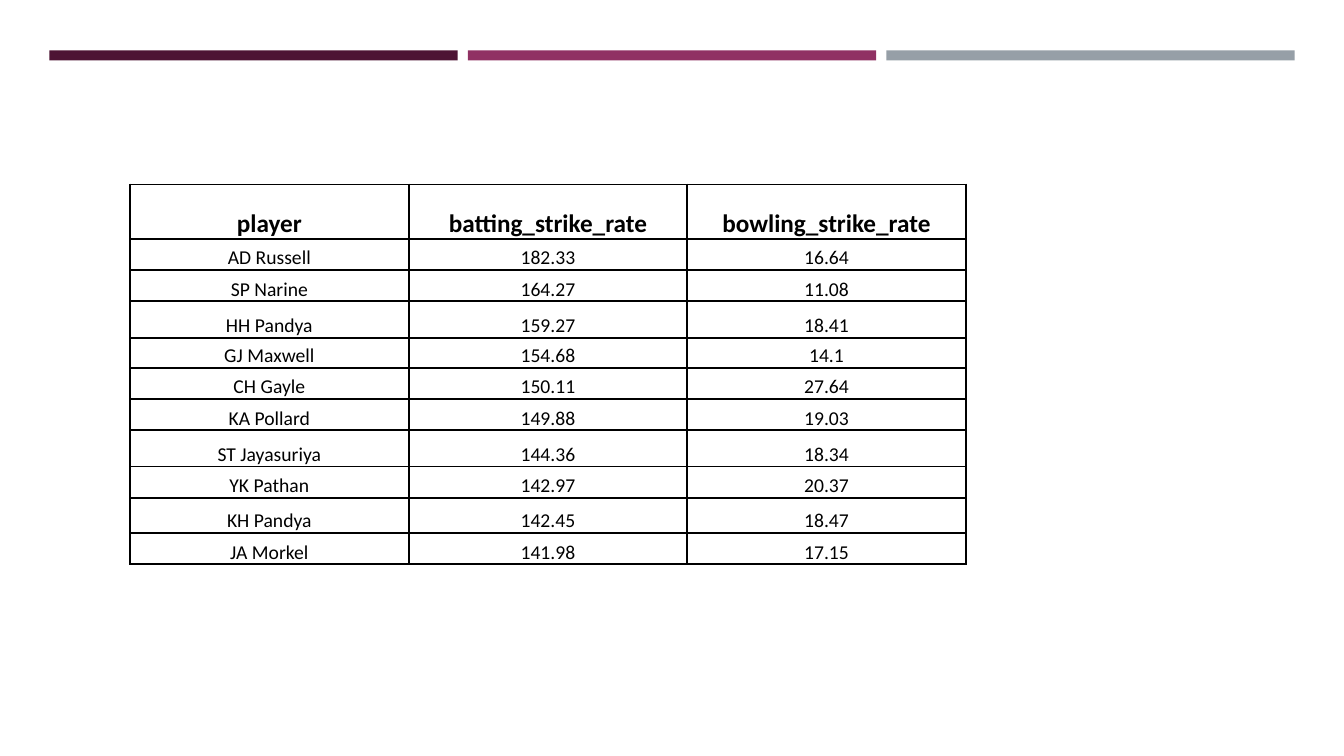
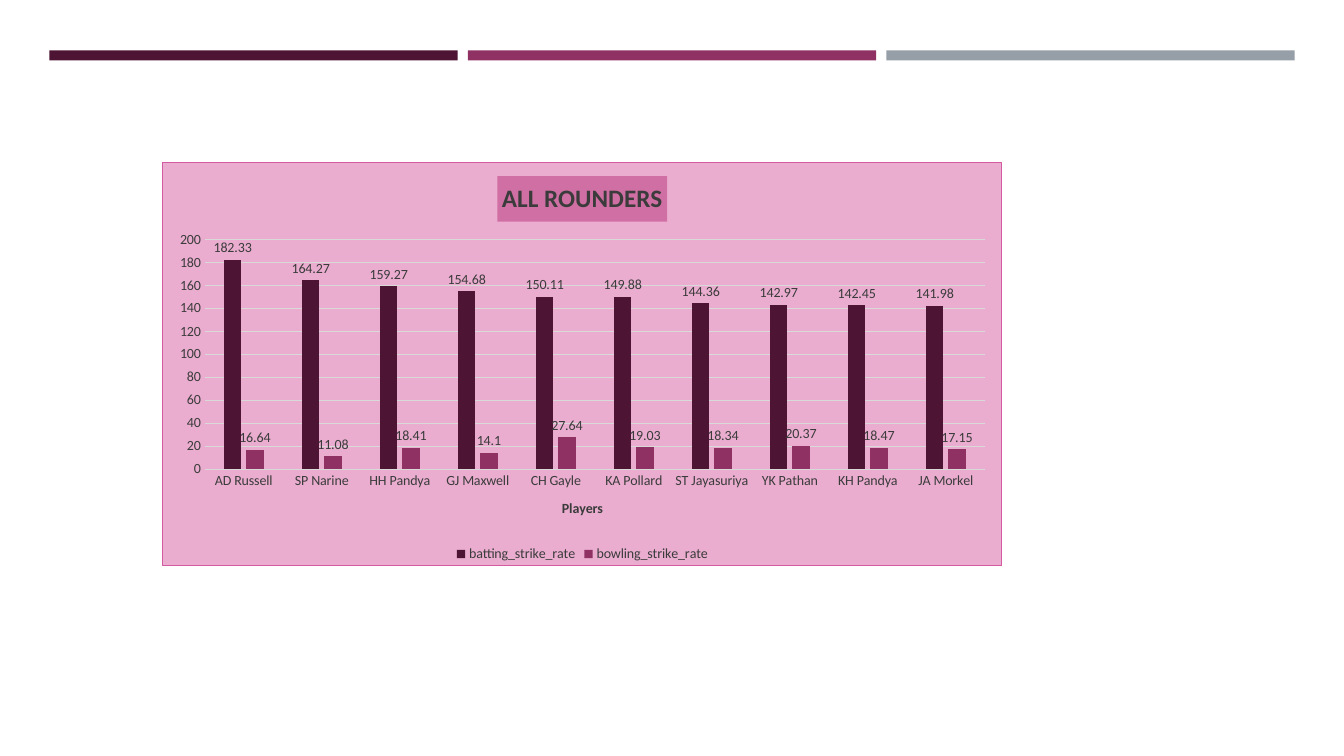
from lxml.etree import SubElement
from pptx import Presentation
from pptx.chart.data import CategoryChartData
from pptx.dml.color import RGBColor
from pptx.enum.chart import XL_CHART_TYPE, XL_LABEL_POSITION, XL_LEGEND_POSITION, XL_TICK_MARK
from pptx.enum.shapes import MSO_SHAPE
from pptx.enum.text import MSO_ANCHOR, PP_ALIGN
from pptx.oxml import parse_xml
from pptx.oxml.ns import nsdecls, qn
from pptx.util import Inches, Pt

PLUM = RGBColor(0x4D, 0x14, 0x34)
MAGENTA = RGBColor(0x90, 0x31, 0x63)
GREY = RGBColor(0x96, 0x9F, 0xA7)
BLACK = RGBColor(0x00, 0x00, 0x00)
CHARCOAL = RGBColor(0x3B, 0x3B, 0x3B)
LIGHT_GREY = RGBColor(0xD9, 0xD9, 0xD9)
PINK = RGBColor(0xEA, 0xAD, 0xCF)
ROSE = RGBColor(0xD0, 0x6F, 0xA3)
DEEP_PINK = RGBColor(0xD4, 0x5B, 0x9F)
FONT = "Calibri"

HEADINGS = ("player", "batting_strike_rate", "bowling_strike_rate")
PLAYERS = (
    ("AD Russell", 182.33, 16.64),
    ("SP Narine", 164.27, 11.08),
    ("HH Pandya", 159.27, 18.41),
    ("GJ Maxwell", 154.68, 14.1),
    ("CH Gayle", 150.11, 27.64),
    ("KA Pollard", 149.88, 19.03),
    ("ST Jayasuriya", 144.36, 18.34),
    ("YK Pathan", 142.97, 20.37),
    ("KH Pandya", 142.45, 18.47),
    ("JA Morkel", 141.98, 17.15),
)
ROW_HEIGHTS = (0.54, 0.31, 0.31, 0.36, 0.3, 0.31, 0.31, 0.36, 0.31, 0.35, 0.31)


def add_page(deck):
    page = deck.slides.add_slide(deck.slide_layouts[6])
    for index, color in enumerate((PLUM, MAGENTA, GREY)):
        band = page.shapes.add_shape(
            MSO_SHAPE.RECTANGLE, Inches(0.49 + 4.15 * index), Inches(0.5), Inches(4.05), Inches(0.1)
        )
        band.shadow.inherit = False
        band.fill.solid()
        band.fill.fore_color.rgb = color
        band.line.fill.background()
    return page


def style_font(font, size, color, bold=False):
    font.name = FONT
    font.size = Pt(size)
    font.bold = bold
    font.color.rgb = color


def add_borders(cell):
    properties = cell._tc.get_or_add_tcPr()
    for position, side in enumerate(("lnL", "lnR", "lnT", "lnB")):
        border = parse_xml(
            f'<a:{side} {nsdecls("a")} w="{Pt(1.5)}"><a:solidFill>'
            f'<a:srgbClr val="{BLACK}"/></a:solidFill></a:{side}>'
        )
        properties.insert(position, border)


def fill_cell(cell, text, size, bold):
    cell.fill.background()
    add_borders(cell)
    cell.vertical_anchor = MSO_ANCHOR.BOTTOM
    cell.margin_left = cell.margin_right = cell.margin_top = Inches(0.01)
    cell.margin_bottom = 0
    cell.text = text
    para = cell.text_frame.paragraphs[0]
    para.alignment = PP_ALIGN.CENTER
    style_font(para.font, size, BLACK, bold)


def add_player_table(page):
    rows = (HEADINGS, *PLAYERS)
    table = page.shapes.add_table(
        len(rows), len(HEADINGS), Inches(1.29), Inches(1.83), Inches(8.29), Inches(sum(ROW_HEIGHTS))
    ).table
    for row, height in zip(table.rows, ROW_HEIGHTS):
        row.height = Inches(height)
    for row_index, values in enumerate(rows):
        heading = row_index == 0
        for column_index, value in enumerate(values):
            fill_cell(table.cell(row_index, column_index), str(value), 18 if heading else 14, heading)


def set_title(title, text, size):
    title.text_frame.text = text
    style_font(title.text_frame.paragraphs[0].font, size, CHARCOAL, True)


def style_line(line, color):
    line.color.rgb = color
    line.width = Pt(0.75)


def fill_chart_area(chart):
    area = parse_xml(
        f'<c:spPr {nsdecls("c", "a")}><a:solidFill><a:srgbClr val="{PINK}"/></a:solidFill>'
        f'<a:ln w="{Pt(0.75)}"><a:solidFill><a:srgbClr val="{DEEP_PINK}"/></a:solidFill></a:ln></c:spPr>'
    )
    chart.element.find(qn("c:chart")).addnext(area)


def place_plot(chart, left, top, width, height):
    plot_area = chart.element.find(qn("c:chart")).find(qn("c:plotArea"))
    for old_layout in plot_area.findall(qn("c:layout")):
        plot_area.remove(old_layout)
    layout = parse_xml(f'<c:layout {nsdecls("c")}/>')
    manual = SubElement(layout, qn("c:manualLayout"))
    settings = (
        ("layoutTarget", "inner"), ("xMode", "edge"), ("yMode", "edge"),
        ("x", left), ("y", top), ("w", width), ("h", height),
    )
    for name, value in settings:
        SubElement(manual, qn(f"c:{name}")).set("val", str(value))
    plot_area.insert(0, layout)


def style_axes(chart):
    players = chart.category_axis
    set_title(players.axis_title, "Players", 10)
    players.major_tick_mark = XL_TICK_MARK.NONE
    style_line(players.format.line, LIGHT_GREY)
    rates = chart.value_axis
    rates.minimum_scale, rates.maximum_scale, rates.major_unit = 0, 200, 20
    rates.major_tick_mark = XL_TICK_MARK.NONE
    rates.format.line.fill.background()
    style_line(rates.major_gridlines.format.line, LIGHT_GREY)


def style_columns(plot):
    plot.gap_width = 219
    plot.overlap = -27
    plot.vary_by_categories = False
    for series, color in zip(plot.series, (PLUM, MAGENTA)):
        series.format.fill.solid()
        series.format.fill.fore_color.rgb = color
        labels = series.data_labels
        labels.show_value = True
        labels.position = XL_LABEL_POSITION.OUTSIDE_END
        style_font(labels.font, 10, CHARCOAL)


def add_rate_chart(page):
    names, *rates = zip(*PLAYERS)
    data = CategoryChartData()
    data.categories = names
    for heading, values in zip(HEADINGS[1:], rates):
        data.add_series(heading, values)
    chart = page.shapes.add_chart(
        XL_CHART_TYPE.COLUMN_CLUSTERED, Inches(1.61), Inches(1.61), Inches(8.33), Inches(4.01), data
    ).chart
    style_font(chart.font, 10, CHARCOAL)
    fill_chart_area(chart)
    set_title(chart.chart_title, "ALL ROUNDERS", 18)
    chart.chart_title.format.fill.solid()
    chart.chart_title.format.fill.fore_color.rgb = ROSE
    chart.has_legend = True
    chart.legend.position = XL_LEGEND_POSITION.BOTTOM
    chart.legend.include_in_layout = False
    style_axes(chart)
    style_columns(chart.plots[0])
    place_plot(chart, 0.05, 0.19, 0.93, 0.57)


def main():
    deck = Presentation()
    deck.slide_width = Inches(13.33)
    deck.slide_height = Inches(7.5)
    add_player_table(add_page(deck))
    add_rate_chart(add_page(deck))
    deck.save("out.pptx")


if __name__ == "__main__":
    main()
